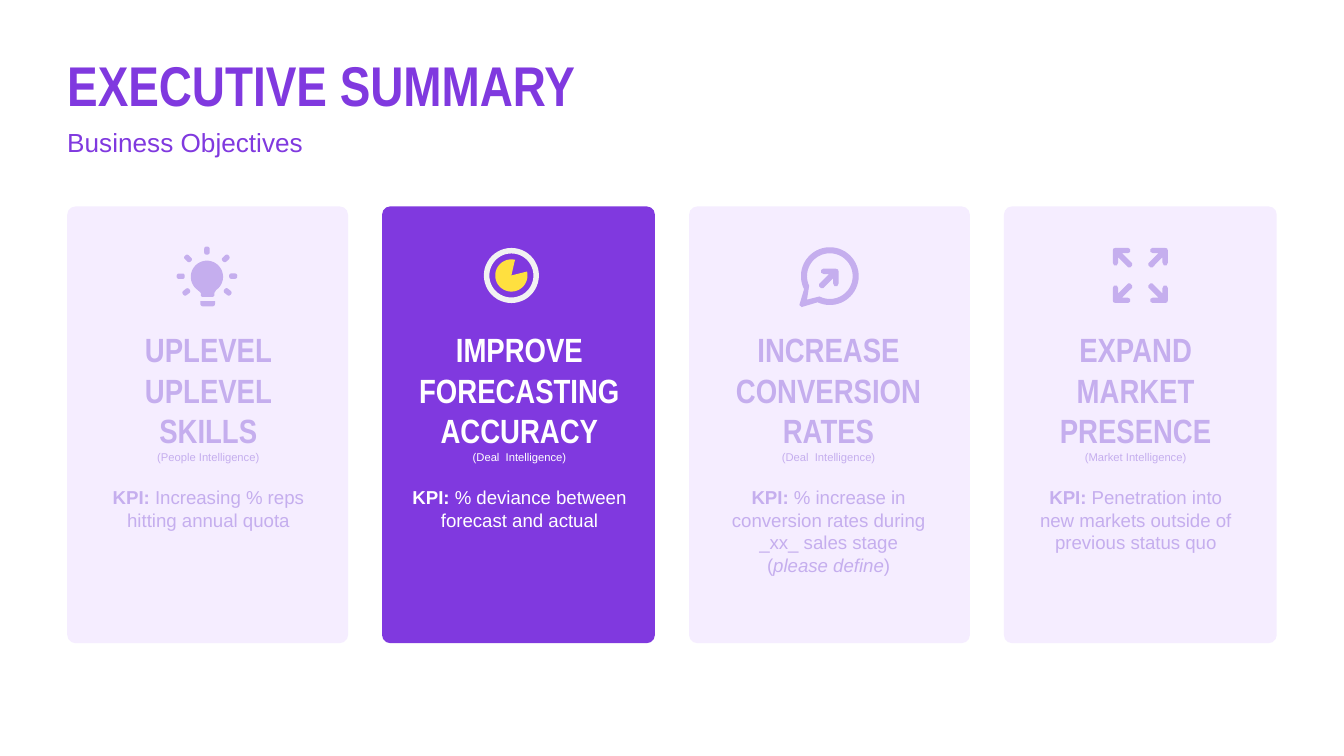
from math import cos, radians, sin

from pptx import Presentation
from pptx import util as u
from pptx.dml.color import RGBColor
from pptx.enum import shapes, text

CELL = u.Inches(0.1)  # grid of 100 columns by 56.25 rows
PURPLE, PALE, LILAC = "8039DF", "F5EDFF", "C5AEEE"
WHITE, RING, YELLOW = "FFFFFF", "F2F2F2", "FFE03F"
HEADING = {"name": "Arial Narrow", "size": u.Pt(18), "bold": True}
NOTE = {"name": "Arial", "size": u.Pt(6), "bold": False}
BODY = {"name": "Arial", "size": u.Pt(10), "bold": False}
STRONG = {**BODY, "bold": True}
KIND = shapes.MSO_SHAPE


def color(value):
    return RGBColor.from_string(value)


def cells(*values):
    return [round(value * CELL) for value in values]


def arc(cx, cy, radius, start, end, step=6):
    """Points along an arc; angles in degrees, clockwise from the right."""
    count = max(1, round((end - start) / step))
    angles = [radians(start + (end - start) * i / count) for i in range(count + 1)]
    return [(cx + radius * cos(a), cy + radius * sin(a)) for a in angles]


class Deck:
    def __init__(self):
        self.prs = Presentation()
        self.prs.slide_width, self.prs.slide_height = cells(100, 56.25)
        self.slide = self.prs.slides.add_slide(self.prs.slide_layouts[6])

    def paint(self, shape, fill):
        shape.shadow.inherit = False
        shape.fill.solid()
        shape.fill.fore_color.rgb = color(fill)
        shape.line.fill.background()

    def shape(self, kind, box, fill, adjust=None, rotation=0):
        shape = self.slide.shapes.add_shape(kind, *cells(*box))
        self.paint(shape, fill)
        if adjust is not None:
            shape.adjustments[0] = adjust
        shape.rotation = rotation

    def outline(self, fill, *contours):
        first, *holes = [[cells(*point) for point in contour] for contour in contours]
        builder = self.slide.shapes.build_freeform(*first[0])
        builder.add_line_segments(first[1:], close=True)
        for hole in holes:
            builder.move_to(*hole[0])
            builder.add_line_segments(hole[1:], close=True)
        self.paint(builder.convert_to_shape(), fill)

    def text(self, box, paragraphs, fill, align=text.PP_ALIGN.LEFT,
             anchor=text.MSO_ANCHOR.TOP, inset=0):
        """Each paragraph is (points before, [(words, font values), ...])."""
        frame = self.slide.shapes.add_textbox(*cells(*box)).text_frame
        margins = dict.fromkeys(("margin_left", "margin_right", "margin_top",
                                 "margin_bottom"), CELL * inset)
        for key, value in {"word_wrap": True, "vertical_anchor": anchor, **margins}.items():
            setattr(frame, key, value)
        for index, (before, runs) in enumerate(paragraphs):
            par = frame.add_paragraph() if index else frame.paragraphs[0]
            par.alignment = align
            if before:
                par.space_before = u.Pt(before)
            for words, style in runs:
                run = par.add_run()
                run.text = words
                run.font.color.rgb = color(fill)
                for key, value in style.items():
                    setattr(run.font, key, value)

    # Icons, each centred on column cx
    def arrow(self, x, y, right, down):
        """Arrow whose head corner is at x, y; right and down are 1 or -1."""
        edge = [(1.15, 0), (0.2, 0), (0.05, 0.05), (0, 0.2), (0, 1.1), (0.1, 1.3),
                (0.3, 1.3), (0.4, 1.1), (0.4, 0.7), (1.15, 1.45), (1.3, 1.45),
                (1.45, 1.3), (1.45, 1.15), (0.7, 0.4), (1.1, 0.4), (1.3, 0.3), (1.3, 0.1)]
        self.outline(LILAC, [(x - right * dx, y - down * dy) for dx, dy in edge])

    def bulb(self, cx):
        cy = 20.6
        neck = [(cx + 0.55, 21.8), (cx + 0.55, 22), (cx + 0.45, 22.1),
                (cx - 0.35, 22.1), (cx - 0.45, 22), (cx - 0.45, 21.8)]
        self.outline(LILAC, arc(cx, cy, 1.2, 125, 415) + neck)
        self.shape(KIND.ROUND_2_SAME_RECTANGLE, (cx - 0.5, 22.4, 1.1, 0.4), LILAC, 0.5, 180)
        for angle in (-128, -90, -46, 0, 46, 90, 128):
            x = cx + 1.95 * sin(radians(angle))
            y = cy - 0.05 - 1.9 * cos(radians(angle))
            self.shape(KIND.ROUNDED_RECTANGLE, (x - 0.2, y - 0.3, 0.4, 0.6), LILAC, 0.4, angle)

    def clock(self, cx):
        self.shape(KIND.DONUT, (cx - 2.05, 18.45, 4.1, 4.1), RING, 0.1)
        self.outline(YELLOW, [(cx, 20.5)] + arc(cx, 20.5, 1.2, -14, 283))

    def bubble(self, cx):
        cy = 20.55
        outer = arc(cx, cy, 2.15, 153, 475) + [(cx - 2.1, 22.85), (cx - 2.27, 22.7)]
        inner = arc(cx, cy, 1.7, 155, 477) + [(cx - 1.7, 22.3)]
        self.outline(LILAC, outer, inner[::-1])
        self.arrow(cx + 0.65, 20, 1, -1)

    def expand(self, cx):
        for right in (-1, 1):
            for down in (-1, 1):
                self.arrow(cx + 2.05 * right, 20.5 + 2.05 * down, right, down)


def main():
    deck = Deck()

    # Title and subtitle
    deck.text((5, 4.8, 82.8, 3), [(0, [("EXECUTIVE SUMMARY", {**HEADING, "size": u.Pt(30)})])],
              PURPLE, anchor=text.MSO_ANCHOR.MIDDLE)
    deck.text((5, 9.4, 47.8, 7.5), [(0, [("Business Objectives", {**BODY, "size": u.Pt(14)})])],
              PURPLE)

    # Objectives: card width, fill, ink, icon, icon centre, text left, text width, words
    objectives = [
        (20.9, PALE, LILAC, deck.bulb, 15.4, 6.65, 17.7, "UPLEVEL UPLEVEL SKILLS",
         "(People Intelligence)", "Increasing % reps hitting annual quota"),
        (20.3, PURPLE, WHITE, deck.clock, 38.05, 29.35, 18.6, "IMPROVE FORECASTING ACCURACY",
         "(Deal  Intelligence)", "% deviance between forecast and actual"),
        (20.9, PALE, LILAC, deck.bubble, 61.75, 52.8, 17.7, "INCREASE CONVERSION RATES",
         "(Deal  Intelligence)", "% increase in conversion rates during _xx_ sales stage"),
        (20.3, PALE, LILAC, deck.expand, 84.85, 75.65, 17.7, "EXPAND MARKET PRESENCE",
         "(Market Intelligence)", "Penetration into new markets outside of previous status quo"),
    ]
    define = (0, [("(", BODY), ("please define", {**BODY, "italic": True}), (")", BODY)])
    gap = (90 - sum(objective[0] for objective in objectives)) / 3
    left = 5
    for width, fill, ink, icon, centre, text_left, text_width, goal, area, kpi in objectives:
        deck.shape(KIND.ROUNDED_RECTANGLE, (left, 15.36, width, 32.5), fill, 0.03)
        icon(centre)
        paragraphs = [(0, [(goal, HEADING)]), (0, [(area, NOTE)]),
                      (12, [("KPI: ", STRONG), (kpi, BODY)])]
        if "_xx_" in kpi:
            paragraphs.append(define)
        deck.text((text_left, 23.5, text_width, 7.9), paragraphs, ink,
                  text.PP_ALIGN.CENTER, inset=1)
        left += width + gap

    deck.prs.save("out.pptx")


if __name__ == "__main__":
    main()
